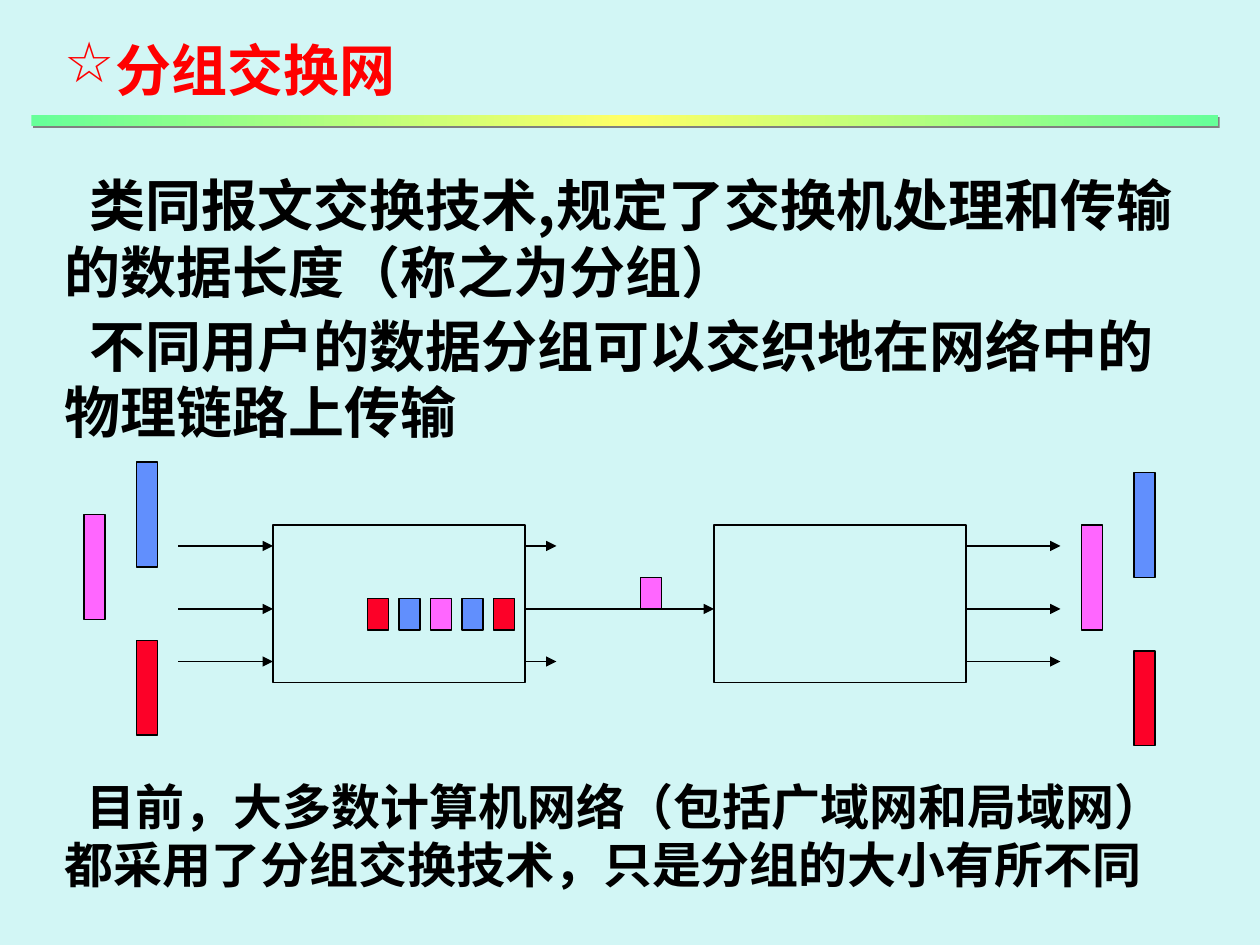
from lxml import etree
from pptx import Presentation
from pptx.dml.color import RGBColor
from pptx.enum.shapes import MSO_CONNECTOR, MSO_SHAPE
from pptx.oxml import parse_xml
from pptx.oxml.ns import nsdecls, qn
from pptx.util import Pt

RECT = MSO_SHAPE.RECTANGLE
LINE = MSO_CONNECTOR.STRAIGHT
FACE = "Noto Sans CJK SC"
HUES = {
    "back": "D2F6F5", "ink": "000000", "title": "FF0000",
    "blue": "618FFD", "pink": "FF66FF", "red": "FC0128",
    "edge": "66FF99", "mid": "FFFF66", "shade": "808080",
}
TITLE = "分组交换网"
BODY = [
    "类同报文交换技术,规定了交换机处理和传输的数据长度（称之为分组）",
    "不同用户的数据分组可以交织地在网络中的物理链路上传输",
]
NOTE = ["目前，大多数计算机网络（包括广域网和局域网）都采用了分组交换技术，只是分组的大小有所不同"]


def hue(name):
    return RGBColor.from_string(HUES[name])


def put_text(slide, box, lines, size, pitch, indent, tone="ink"):
    frame = slide.shapes.add_textbox(*map(Pt, box)).text_frame
    frame.word_wrap = True
    frame.margin_top = frame.margin_bottom = 0
    for i, line in enumerate(lines):
        para = frame.paragraphs[0] if i == 0 else frame.add_paragraph()
        form = {"line_spacing": Pt(pitch), "space_before": Pt(4 if i else 0)}
        for key, val in form.items():
            setattr(para, key, val)
        para._p.get_or_add_pPr().set("indent", str(Pt(indent)))
        run = para.add_run()
        run.text = line
        for key, val in {"size": Pt(size), "bold": True, "name": FACE}.items():
            setattr(run.font, key, val)
        run.font.color.rgb = hue(tone)
        east = etree.SubElement(run._r.get_or_add_rPr(), qn("a:ea"))
        east.set("typeface", FACE)
    return frame


def put_title(slide, box):
    frame = put_text(slide, box, [TITLE], 32, 38.2, -28, "title")
    props = frame.paragraphs[0]._p.get_or_add_pPr()
    props.set("marL", str(Pt(28)))
    tint = etree.SubElement(props, qn("a:buClr"))
    etree.SubElement(tint, qn("a:srgbClr")).set("val", HUES["title"])
    etree.SubElement(props, qn("a:buChar")).set("char", "☆")


def put_rect(slide, x, y, w, h, tone=None):
    shape = slide.shapes.add_shape(RECT, Pt(x), Pt(y), Pt(w), Pt(h))
    shape.shadow.inherit = False
    if tone:
        shape.fill.solid()
        shape.fill.fore_color.rgb = hue(tone)
    else:
        shape.fill.background()
    shape.line.color.rgb = hue("ink")
    shape.line.width = Pt(1)
    return shape


def put_arrow(slide, x, y, span):
    line = slide.shapes.add_connector(LINE, Pt(x), Pt(y), Pt(x + span), Pt(y))
    line.line.color.rgb = hue("ink")
    line.line.width = Pt(1)
    etree.SubElement(line.line._get_or_add_ln(), qn("a:tailEnd")).set("type", "triangle")
    etree.SubElement(line._element.spPr, qn("a:effectLst"))


def put_rule(slide, box):
    bar = put_rect(slide, *box, "mid")
    bar.line.fill.background()
    props = bar._element.spPr
    stops = "".join(
        f'<a:gs pos="{pos}"><a:srgbClr val="{HUES[tone]}"/></a:gs>'
        for pos, tone in [(0, "edge"), (50000, "mid"), (100000, "edge")]
    )
    blend = parse_xml(
        f'<a:gradFill {nsdecls("a")} rotWithShape="1"><a:gsLst>{stops}</a:gsLst>'
        '<a:lin ang="0" scaled="0"/></a:gradFill>'
    )
    props.replace(props.find(qn("a:solidFill")), blend)
    shade = parse_xml(
        f'<a:outerShdw {nsdecls("a")} blurRad="0" dist="{Pt(1.4)}" dir="2700000">'
        f'<a:srgbClr val="{HUES["shade"]}"/></a:outerShdw>'
    )
    props.find(qn("a:effectLst")).append(shade)


def put_bars(slide, x, y):
    for dx, dy, high, tone in [(30, 0, 60, "blue"), (0, 30, 60, "pink"), (30, 102, 54, "red")]:
        put_rect(slide, x + dx, y + dy, 12, high, tone)


def put_net(slide, box):
    x, y, w, h = box
    for left in (108, 360):
        put_rect(slide, x + left, y + 36, 144, 90)
    top, mid, low = 48, 84, 114
    for dy in (top, mid, low):
        put_arrow(slide, x + 54, y + dy, 54)
        put_arrow(slide, x + 504, y + dy, 54)
        put_arrow(slide, x + 252, y + dy, 108 if dy == mid else 18)
    for i, tone in enumerate(["red", "blue", "pink", "blue", "red"]):
        put_rect(slide, x + 162 + 18 * i, y + 78, 12, 18, tone)
    put_rect(slide, x + 318, y + 66, 12, 18, "pink")
    put_bars(slide, x, y)
    put_bars(slide, x + w - 42, y + h - 156)


def main():
    deck = Presentation()
    deck.slide_width, deck.slide_height = Pt(720), Pt(540)
    slide = deck.slides.add_slide(deck.slide_layouts[6])
    slide.background.fill.solid()
    slide.background.fill.fore_color.rgb = hue("back")
    put_net(slide, (48, 264, 612, 162))
    put_title(slide, (30, 20.3, 649, 39))
    put_text(slide, (30, 97.5, 649, 157), BODY, 32, 38.2, 14)
    put_text(slide, (30, 444.5, 649, 67), NOTE, 28, 33.1, 12.5)
    put_rule(slide, (18, 66, 678, 6))
    deck.save("out.pptx")


if __name__ == "__main__":
    main()
